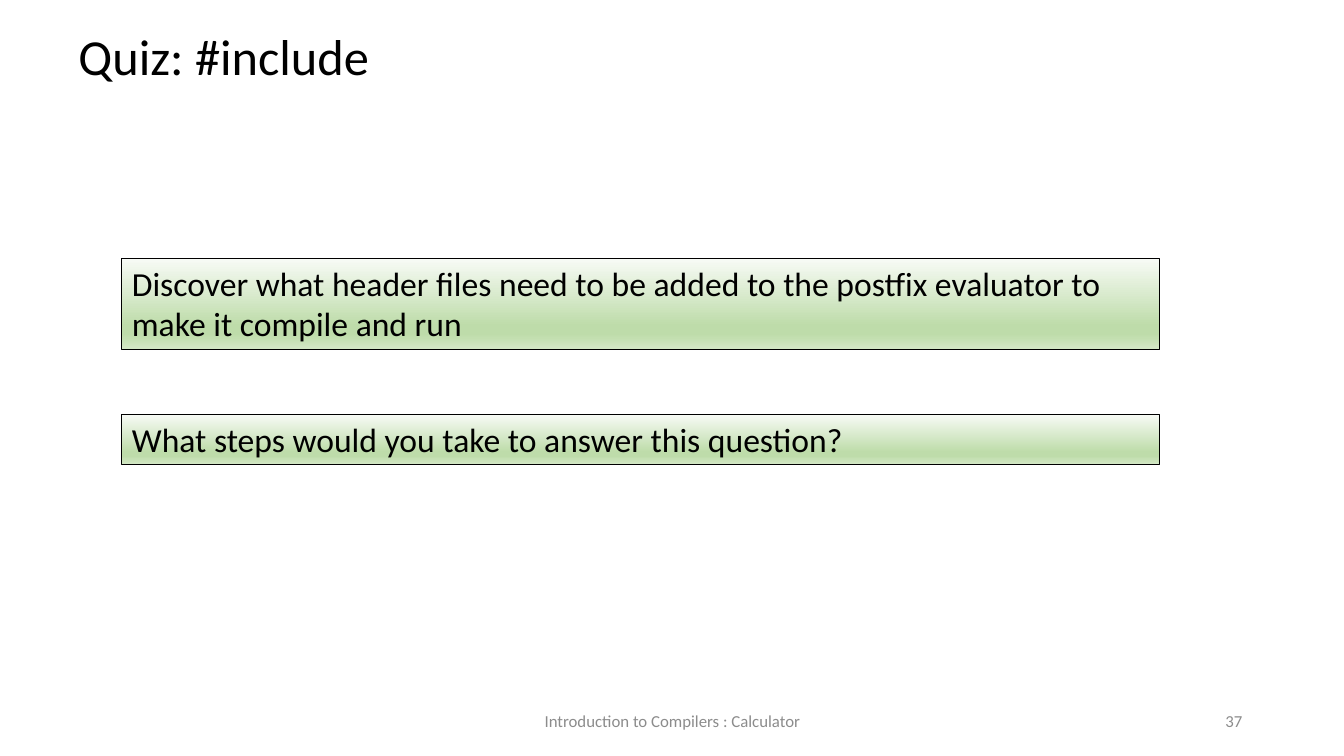
from dataclasses import dataclass

from lxml import etree
from pptx import Presentation
from pptx.dml.color import RGBColor
from pptx.enum.shapes import MSO_SHAPE
from pptx.enum.text import MSO_ANCHOR, MSO_AUTO_SIZE, PP_ALIGN
from pptx.oxml.ns import qn
from pptx.util import Inches, Pt

RECTANGLE = MSO_SHAPE.RECTANGLE
TOP, MIDDLE = MSO_ANCHOR.TOP, MSO_ANCHOR.MIDDLE
FIT_SHAPE, FIT_NONE = MSO_AUTO_SIZE.SHAPE_TO_FIT_TEXT, MSO_AUTO_SIZE.NONE
LEFT, CENTER, RIGHT = PP_ALIGN.LEFT, PP_ALIGN.CENTER, PP_ALIGN.RIGHT

FONT = "Calibri"
BLACK, GRAY = "000000", "8C8C8C"
GREEN_STOPS = ((0, "F8FBF6"), (74, "BEDCAA"), (83, "BEDCAA"), (100, "D4E8C6"))
QUESTION_LEFT, QUESTION_WIDTH = 1.21, 10.29


@dataclass
class Label:
    text: str
    left: float
    top: float
    width: float
    height: float
    size: int
    color: str = GRAY
    align: PP_ALIGN = CENTER
    anchor: MSO_ANCHOR = MIDDLE
    fit: MSO_AUTO_SIZE = FIT_NONE


@dataclass
class Question:
    text: str
    top: float
    height: float


LABELS = [
    Label("Introduction to Compilers : Calculator", 4.42, 6.95, 4.5, 0.4, 12),
    Label("37", 9.42, 6.95, 3, 0.4, 12, align=RIGHT),
    Label("Quiz: #include", 0.68, 0.2, 4.54, 0.71, 36, BLACK, LEFT, TOP, FIT_SHAPE),
]
QUESTIONS = [
    Question("Discover what header files need to be added to the postfix evaluator "
             "to make it compile and run", 2.56, 0.91),
    Question("What steps would you take to answer this question?", 4.11, 0.5),
]


def rgb(value: str) -> RGBColor:
    return RGBColor.from_string(value)


def write_text(shape, text: str, *, size: int, color: str = BLACK,
               align: PP_ALIGN = LEFT, anchor: MSO_ANCHOR = TOP,
               fit: MSO_AUTO_SIZE = FIT_SHAPE) -> None:
    frame = shape.text_frame
    frame.word_wrap = True
    frame.auto_size = fit
    frame.vertical_anchor = anchor
    paragraph = frame.paragraphs[0]
    paragraph.alignment = align
    run = paragraph.add_run()
    run.text = text
    run.font.name = FONT
    run.font.size = Pt(size)
    run.font.color.rgb = rgb(color)


def fill_gradient(shape, stops: tuple) -> None:
    shape.fill.gradient()
    shape.fill.gradient_angle = 270  # top to bottom
    stop_list = shape.element.spPr.find(".//" + qn("a:gsLst"))
    stop_list.clear()
    for percent, color in stops:
        stop = etree.SubElement(stop_list, qn("a:gs"), pos=str(percent * 1000))
        etree.SubElement(stop, qn("a:srgbClr"), val=color)


def add_label(slide, label: Label) -> None:
    box = slide.shapes.add_textbox(Inches(label.left), Inches(label.top),
                                   Inches(label.width), Inches(label.height))
    write_text(box, label.text, size=label.size, color=label.color,
               align=label.align, anchor=label.anchor, fit=label.fit)


def add_question(slide, question: Question) -> None:
    shape = slide.shapes.add_shape(
        RECTANGLE, Inches(QUESTION_LEFT), Inches(question.top),
        Inches(QUESTION_WIDTH), Inches(question.height))
    shape.shadow.inherit = False
    fill_gradient(shape, GREEN_STOPS)
    shape.line.color.rgb = rgb(BLACK)
    shape.line.width = Pt(0.75)
    write_text(shape, question.text, size=24)


def main() -> None:
    presentation = Presentation()
    presentation.slide_width = Inches(13.33)
    presentation.slide_height = Inches(7.5)
    slide = presentation.slides.add_slide(presentation.slide_layouts[6])

    # Footer, page number and title
    for label in LABELS:
        add_label(slide, label)

    # Quiz questions
    for question in QUESTIONS:
        add_question(slide, question)

    presentation.save("out.pptx")


if __name__ == "__main__":
    main()
